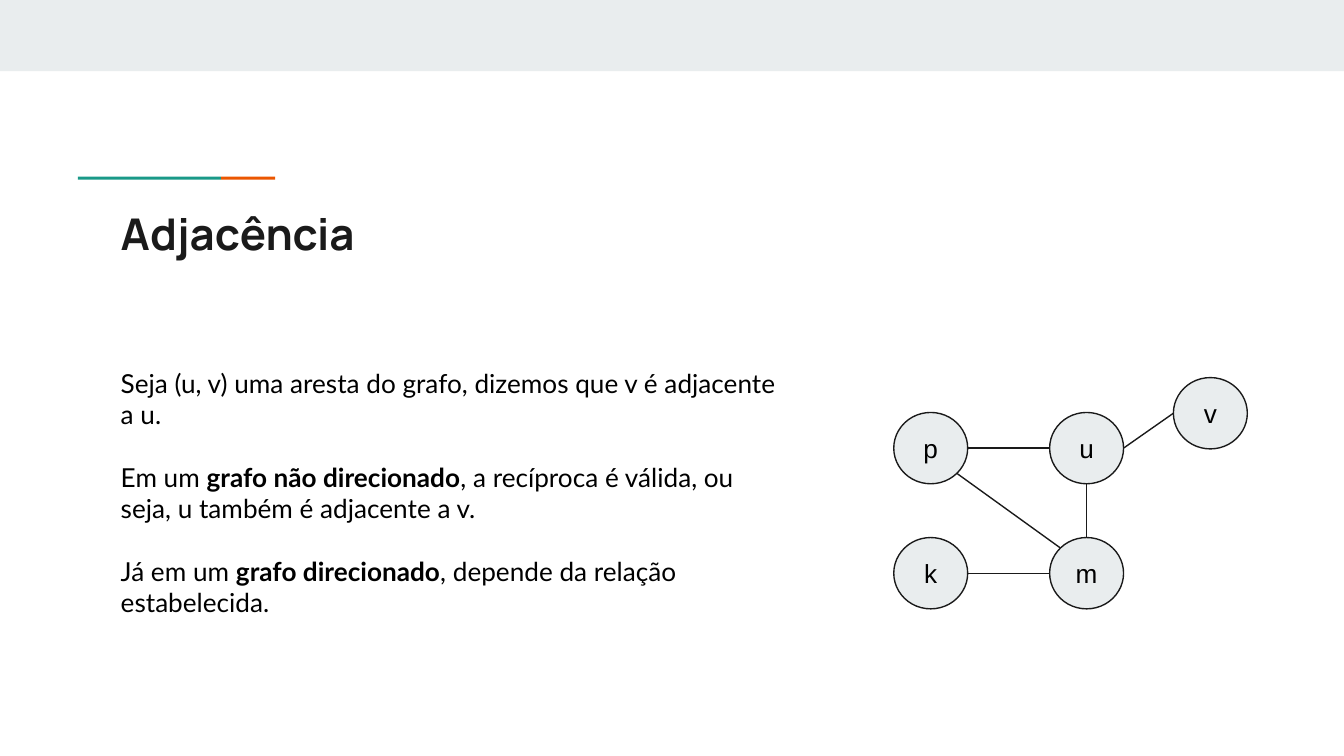
from math import cos, radians, sin

from lxml import etree
from pptx import Presentation
from pptx.dml.color import RGBColor
from pptx.enum.shapes import MSO_CONNECTOR as CONN, MSO_SHAPE as SHAPE
from pptx.enum.text import MSO_ANCHOR as ANCHOR, PP_ALIGN as ALIGN
from pptx.oxml.ns import qn
from pptx.util import Pt

GREY = RGBColor(0xE9, 0xED, 0xEE)
TEAL = RGBColor(0x1A, 0x99, 0x88)
ORANGE = RGBColor(0xEB, 0x56, 0x00)
DARK = RGBColor(0x1A, 0x1A, 0x1A)
BLACK = RGBColor(0, 0, 0)

NODE_W, NODE_H = 39.6, 38.2


def write(sp, paragraphs, font="Arial", size=14, color=BLACK, bold=False,
          align=ALIGN.LEFT, anchor=ANCHOR.TOP, gap=0):
    """Each paragraph is a list of runs; every second run is bold."""
    tf = sp.text_frame
    tf.word_wrap = True
    tf.vertical_anchor = anchor
    tf.margin_left = tf.margin_right = tf.margin_top = tf.margin_bottom = Pt(7.2)
    for i, runs in enumerate(paragraphs):
        p = tf.add_paragraph() if i else tf.paragraphs[0]
        p.alignment = align
        if i and gap:
            p.space_before = Pt(gap)
        for j, text in enumerate(runs):
            r = p.add_run()
            r.text = text
            r.font.name, r.font.size = font, Pt(size)
            r.font.bold = bold or j % 2 == 1
            r.font.color.rgb = color


def add_box(s, kind, x, y, w, h, fill, line=None):
    sp = s.shapes.add_shape(kind, Pt(x), Pt(y), Pt(w), Pt(h))
    sp.shadow.inherit = False
    sp.fill.solid()
    sp.fill.fore_color.rgb = fill
    if line is None:
        sp.line.fill.background()
    else:
        sp.line.color.rgb = line
        sp.line.width = Pt(0.75)
    return sp


def add_header(s, x, y, w, h):
    # Top band and two-coloured rule
    add_box(s, SHAPE.RECTANGLE, x, y, w, h, GREY)
    add_box(s, SHAPE.RECTANGLE, x + 41.8, y + 94.7, 76.6, 1.6, TEAL)
    add_box(s, SHAPE.RECTANGLE, x + 118.4, y + 94.7, 29, 1.6, ORANGE)


def add_text(s, x, y, w, h, paragraphs, **fmt):
    sp = s.shapes.add_textbox(Pt(x), Pt(y), Pt(w), Pt(h))
    write(sp, paragraphs, **fmt)


def add_graph(s, x, y, w, h):
    # Node corners: two columns by two rows, with v at the top right
    left, middle, right = x, x + 83.5, x + w - NODE_W
    upper, lower = y + 18.7, y + h - NODE_H
    nodes = {"p": (left, upper), "u": (middle, upper), "v": (right, y),
             "k": (left, lower), "m": (middle, lower)}

    def rim(name, angle):
        nx, ny = nodes[name]
        a = radians(angle)
        return (Pt(nx + NODE_W / 2 * (1 + cos(a))),
                Pt(ny + NODE_H / 2 * (1 + sin(a))))

    # Edges: node and clockwise rim angle at each end
    edges = [("p", 0, "u", 180), ("u", 90, "m", 270), ("m", 225, "p", 45),
             ("k", 0, "m", 180), ("u", 0, "v", 180)]
    for a, a_angle, b, b_angle in edges:
        edge = s.shapes.add_connector(CONN.STRAIGHT, *rim(a, a_angle), *rim(b, b_angle))
        edge.line.color.rgb = DARK
        edge.line.width = Pt(0.75)
        etree.SubElement(edge._element.spPr, qn("a:effectLst"))

    for name, (nx, ny) in nodes.items():
        sp = add_box(s, SHAPE.OVAL, nx, ny, NODE_W, NODE_H, GREY, DARK)
        write(sp, [[name]], align=ALIGN.CENTER, anchor=ANCHOR.MIDDLE)


def main():
    prs = Presentation()
    prs.slide_width, prs.slide_height = Pt(720), Pt(405)
    s = prs.slides.add_slide(prs.slide_layouts[6])

    add_header(s, 0, 0, 720, 38.2)
    # Title
    add_text(s, 57.6, 103.7, 605.5, 42.5, [["Adjacência"]],
             font="Manrope", size=23.4, color=DARK, bold=True)
    add_graph(s, 478.8, 202.3, 189.4, 123.9)
    # Definitions
    add_text(s, 57.6, 189.4, 373, 150.5, [
        ["Seja (u, v) uma aresta do grafo, dizemos que v é adjacente a u."],
        ["Em um ", "grafo não direcionado",
         ", a recíproca é válida, ou seja, u também é adjacente a v."],
        ["Já em um ", "grafo direcionado", ", depende da relação estabelecida."],
    ], font="Lato", gap=16.8)

    prs.save("out.pptx")


if __name__ == "__main__":
    main()
